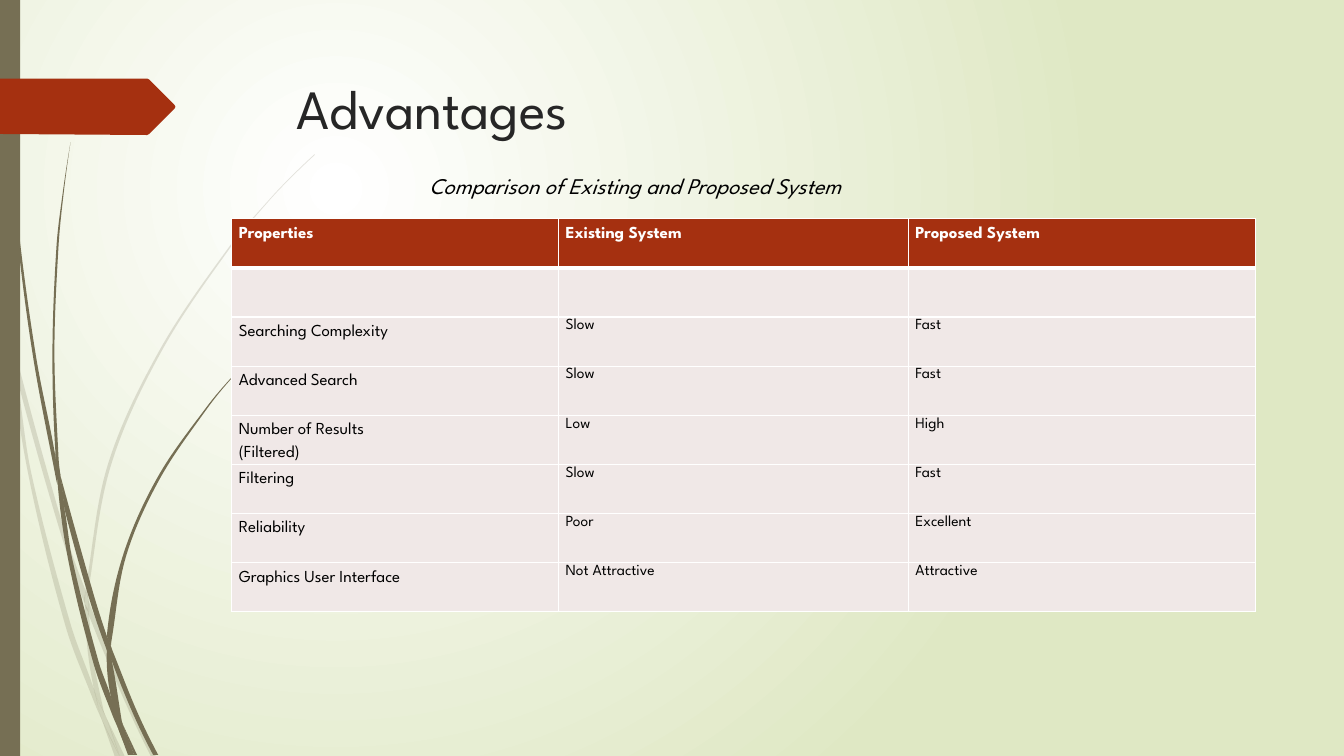
from dataclasses import dataclass

from lxml import etree
from pptx import Presentation, util as u
from pptx.dml.color import RGBColor
from pptx.enum import shapes, text
from pptx.oxml.ns import qn

FONT = "League Spartan"
WHITE = RGBColor(0xFF, 0xFF, 0xFF)
BLACK = RGBColor(0, 0, 0)
INK = RGBColor(0x26, 0x26, 0x26)
PALE_GREEN = RGBColor(0xDF, 0xE8, 0xC4)
OLIVE = RGBColor(0x76, 0x6F, 0x54)
RUST = RGBColor(0xA5, 0x30, 0x10)
BLUSH = RGBColor(0xF0, 0xE8, 0xE7)
Points = list[tuple[float, float]]


@dataclass
class Blade:
    """A sliver of grass between two curved edges, both running the same way."""
    near: Points
    far: Points


PALE_GRASS = [
    Blade([(0, 2.82), (0.09, 3.22), (0.11, 3.5)], [(0, 2.99), (0.1, 3.44), (0.11, 3.5)]),
    Blade([(0.14, 3.45), (0.62, 5.2), (0.85, 5.86)], [(0.17, 3.76), (0.58, 5.22), (0.84, 5.99)]),
    Blade([(0.88, 5.96), (0.92, 6.07), (1.27, 6.92), (1.55, 7.51)], [(0.88, 6.1), (1.23, 6.94), (1.5, 7.51)]),
    Blade([(1.05, 7.11), (1.24, 7.51)], [(1.05, 7.11), (1.19, 7.51)]),
    Blade([(0.11, 3.5), (0.17, 3.76), (0.31, 4.69), (0.7, 6.19), (0.93, 6.83), (0.99, 7.07), (1.01, 7.14)],
          [(0.11, 3.5), (0.28, 4.7), (0.65, 6.21), (0.92, 6.93), (1.01, 7.14)]),
    Blade([(0.84, 5.99), (0.87, 6.46), (0.93, 6.83), (0.96, 6.92), (1.05, 7.11)],
          [(0.84, 5.99), (0.88, 6.08), (0.91, 6.46), (1.03, 7.06), (1.05, 7.11)]),
    Blade([(3.12, 1.53), (2.89, 1.75), (2.68, 1.97), (2.28, 2.44), (1.58, 3.48), (1.07, 4.61), (0.85, 5.84),
           (0.85, 5.86)],
          [(3.12, 1.54), (2.9, 1.75), (2.68, 1.98), (2.29, 2.45), (1.6, 3.49), (1.1, 4.62), (0.88, 5.84),
           (0.88, 5.96)]),
    Blade([(1.01, 7.14), (1.14, 7.51)], [(1.01, 7.14), (1.19, 7.51)]),
    Blade([(0.85, 5.86), (0.84, 5.99), (0.88, 6.08)], [(0.85, 5.86), (0.88, 5.96), (0.88, 6.1)]),
    Blade([(0.93, 6.83), (0.99, 7.07), (1.01, 7.14), (1.19, 7.51)],
          [(0.93, 6.83), (0.96, 6.92), (1.05, 7.11), (1.19, 7.51)]),
]
DARK_GRASS = [
    Blade([(0.03, 0), (0.07, 1.1), (0.17, 2.33), (0.33, 3.55), (0.56, 4.77), (0.57, 4.81)],
          [(0.04, 0), (0.08, 1.09), (0.19, 2.32), (0.36, 3.55), (0.55, 4.53), (0.57, 4.81)]),
    Blade([(0.6, 4.72), (0.93, 5.9), (1.06, 6.31)], [(0.64, 5.05), (0.88, 5.92), (1.06, 6.45)]),
    Blade([(1.1, 6.41), (1.13, 6.49), (1.36, 7.06), (1.57, 7.49)], [(1.11, 6.56), (1.32, 7.08), (1.52, 7.49)]),
    Blade([(0.57, 4.77), (0.64, 5.05), (0.72, 5.56), (0.98, 6.57), (1.1, 6.91), (1.17, 7.22)],
          [(0.57, 4.77), (0.68, 5.57), (0.93, 6.59), (1.11, 7.08), (1.17, 7.22)]),
    Blade([(0.7, 1.41), (0.62, 1.93), (0.56, 2.45), (0.52, 3.49), (0.55, 4.49), (0.6, 4.72)],
          [(0.7, 1.41), (0.63, 1.93), (0.58, 2.45), (0.54, 3.49), (0.58, 4.53), (0.6, 4.72)]),
    Blade([(1.22, 7.19), (1.36, 7.49)], [(1.22, 7.19), (1.33, 7.49)]),
    Blade([(0.55, 4.49), (0.57, 4.77), (0.64, 5.05)], [(0.55, 4.49), (0.6, 4.72), (0.64, 5.05)]),
    Blade([(2.6, 3.44), (2.31, 3.73), (2.04, 4.05), (1.56, 4.74), (1.22, 5.51), (1.06, 6.31)],
          [(2.61, 3.44), (2.31, 3.74), (2.05, 4.06), (1.58, 4.76), (1.25, 5.52), (1.11, 6.33), (1.1, 6.41)]),
    Blade([(1.17, 7.22), (1.27, 7.49)], [(1.17, 7.22), (1.31, 7.49)]),
    Blade([(1.06, 6.45), (1.1, 6.91), (1.22, 7.19)], [(1.06, 6.45), (1.11, 6.56), (1.21, 7.16), (1.22, 7.19)]),
    Blade([(1.06, 6.31), (1.06, 6.45), (1.11, 6.56)], [(1.06, 6.31), (1.1, 6.41), (1.11, 6.56)]),
    Blade([(1.1, 6.91), (1.17, 7.22), (1.3, 7.49)], [(1.1, 6.91), (1.16, 7.06), (1.22, 7.19), (1.33, 7.49)]),
]
COMPARISON = [
    ("Properties", "Existing System", "Proposed System"), ("", "", ""),
    ("Searching Complexity", "Slow", "Fast"), ("Advanced Search", "Slow", "Fast"),
    ("Number of Results\n(Filtered)", "Low", "High"), ("Filtering", "Slow", "Fast"),
    ("Reliability", "Poor", "Excellent"), ("Graphics User Interface", "Not Attractive", "Attractive"),
]


def apply(target, formats: dict) -> None:
    for name, value in formats.items():
        setattr(target, name, value)


def set_font(paragraph, size: float, color: RGBColor, **formats) -> None:
    for run in paragraph.runs:
        apply(run.font, {"name": FONT, "size": u.Pt(size), **formats})
        run.font.color.rgb = color


def bend(edge: Points) -> list[list[complex]]:
    """Two handles and an end point for each curve along the edge."""
    spots = [complex(*point) for point in edge]
    chords = [(b - a) / abs(b - a) for a, b in zip(spots, spots[1:])]
    inner = [(c - a) / abs(c - a) for a, c in zip(spots, spots[2:])]
    slopes = [2 * chords[0] - (inner or chords)[0], *inner, 2 * chords[-1] - (inner or chords)[-1]]
    return [[a + abs(b - a) / 3 * leave, b - abs(b - a) / 3 * arrive, b]
            for a, b, leave, arrive in zip(spots, spots[1:], slopes, slopes[1:])]


def paint(shape, color: RGBColor) -> None:
    shape.shadow.inherit = False
    shape.fill.solid()
    shape.fill.fore_color.rgb = color
    shape.line.fill.background()


def draw_outline(parent, points: Points, color: RGBColor):
    start, *rest = [(u.Inches(x), u.Inches(y)) for x, y in points]
    builder = parent.build_freeform(*start)
    builder.add_line_segments(rest, close=True)
    outline = builder.convert_to_shape()
    paint(outline, color)
    return outline


def draw_grass(slide, blades: list[Blade], opacity: int) -> None:
    tuft = slide.shapes.add_group_shape()
    for blade in blades:
        back = blade.far[::-1]
        leaf = draw_outline(tuft.shapes, blade.near + back, OLIVE)
        lines = leaf.element.findall(".//" + qn("a:lnTo"))
        for line, curve in zip(lines, bend(blade.near) + [None] + bend(back)):
            if curve:
                line.tag = qn("a:cubicBezTo")
                line.clear()
                for spot in curve:
                    etree.SubElement(line, qn("a:pt"), x=str(u.Inches(spot.real) - leaf.left),
                                     y=str(u.Inches(spot.imag) - leaf.top))
        if opacity < 100:
            tint = leaf.element.spPr.find(".//" + qn("a:srgbClr"))
            etree.SubElement(tint, qn("a:alpha"), val=str(opacity * 1000))


def draw_border(cell, side: str, width: float) -> None:
    edge = etree.Element(qn("a:" + side), w=str(u.Pt(width)))
    solid = etree.SubElement(edge, qn("a:solidFill"))
    etree.SubElement(solid, qn("a:srgbClr"), val=str(WHITE))
    properties = cell._tc.get_or_add_tcPr()
    properties.insert(len(properties) - 1, edge)


def fill_cell(cell, words: str, row: int, column: int) -> None:
    header = row == 0
    label = header or column == 0
    apply(cell, {"margin_left": u.Inches(0.07), "margin_right": u.Inches(0.07),
                 "margin_top": 0, "margin_bottom": 0, "text": words})
    cell.fill.solid()
    cell.fill.fore_color.rgb = RUST if header else BLUSH
    for side in ("lnL", "lnR", "lnT", "lnB"):
        draw_border(cell, side, 3 if (row, side) in ((0, "lnB"), (1, "lnT")) else 1)
    for paragraph in cell.text_frame.paragraphs:
        paragraph.line_spacing = 1.5 if label else 1.15
        paragraph.space_after = u.Pt(0 if label else 10)
        set_font(paragraph, 12 if label else 11, WHITE if header else BLACK, bold=header)


def main() -> None:
    deck = Presentation()
    apply(deck, {"slide_width": u.Inches(13.33), "slide_height": u.Inches(7.5)})
    slide = deck.slides.add_slide(deck.slide_layouts[5])

    # Radial background
    backdrop = slide.background.fill
    backdrop.gradient()
    for stop, color, position in zip(backdrop.gradient_stops, (WHITE, PALE_GREEN), (0, 1)):
        stop.color.rgb = color
        stop.position = position
    gradient = slide.element.find(".//" + qn("a:gradFill"))
    gradient.remove(gradient.find(qn("a:lin")))
    circle = etree.SubElement(gradient, qn("a:path"), path="circle")
    etree.SubElement(circle, qn("a:fillToRect"), l="50000", t="50000", r="100000", b="100000")

    # Grass, side bar and arrow tab
    draw_grass(slide, PALE_GRASS, 20)
    draw_grass(slide, DARK_GRASS, 100)
    side_bar = slide.shapes.add_shape(shapes.MSO_SHAPE.RECTANGLE, 0, 0, u.Inches(0.2), u.Inches(7.5))
    paint(side_bar, OLIVE)
    draw_outline(slide.shapes, [(0, 0.78), (1.46, 0.78), (1.48, 0.79), (1.73, 1.04), (1.74, 1.06),
                                (1.73, 1.08), (1.48, 1.33), (1.46, 1.34), (0, 1.33)], RUST)

    # Title, brought in front of the decoration
    title = slide.shapes.title
    title.element.getparent().append(title.element)
    apply(title, {"left": u.Inches(2.84), "top": u.Inches(0.68),
                  "width": u.Inches(9.75), "height": u.Inches(0.59)})
    apply(title.text_frame, {"text": "Advantages\v", "vertical_anchor": text.MSO_ANCHOR.TOP})
    heading = title.text_frame.paragraphs[0]
    heading.alignment = text.PP_ALIGN.LEFT
    set_font(heading, 39.6, INK)

    # Comparison table
    comparison = slide.shapes.add_table(len(COMPARISON), 3, u.Inches(2.3), u.Inches(2.17),
                                        u.Inches(10.15), u.Inches(3.9)).table
    for column, width in zip(comparison.columns, (3.24, 3.47, 3.44)):
        column.width = u.Inches(width)
    for row, entries in enumerate(COMPARISON):
        for column, words in enumerate(entries):
            fill_cell(comparison.cell(row, column), words, row, column)

    # Table caption
    caption = slide.shapes.add_textbox(u.Inches(4.16), u.Inches(1.66), u.Inches(5.48), u.Inches(0.67))
    apply(caption.text_frame, {"word_wrap": True, "text": "Comparison of Existing and Proposed System"})
    set_font(caption.text_frame.paragraphs[0], 16, BLACK, italic=True)

    deck.save("out.pptx")


if __name__ == "__main__":
    main()
